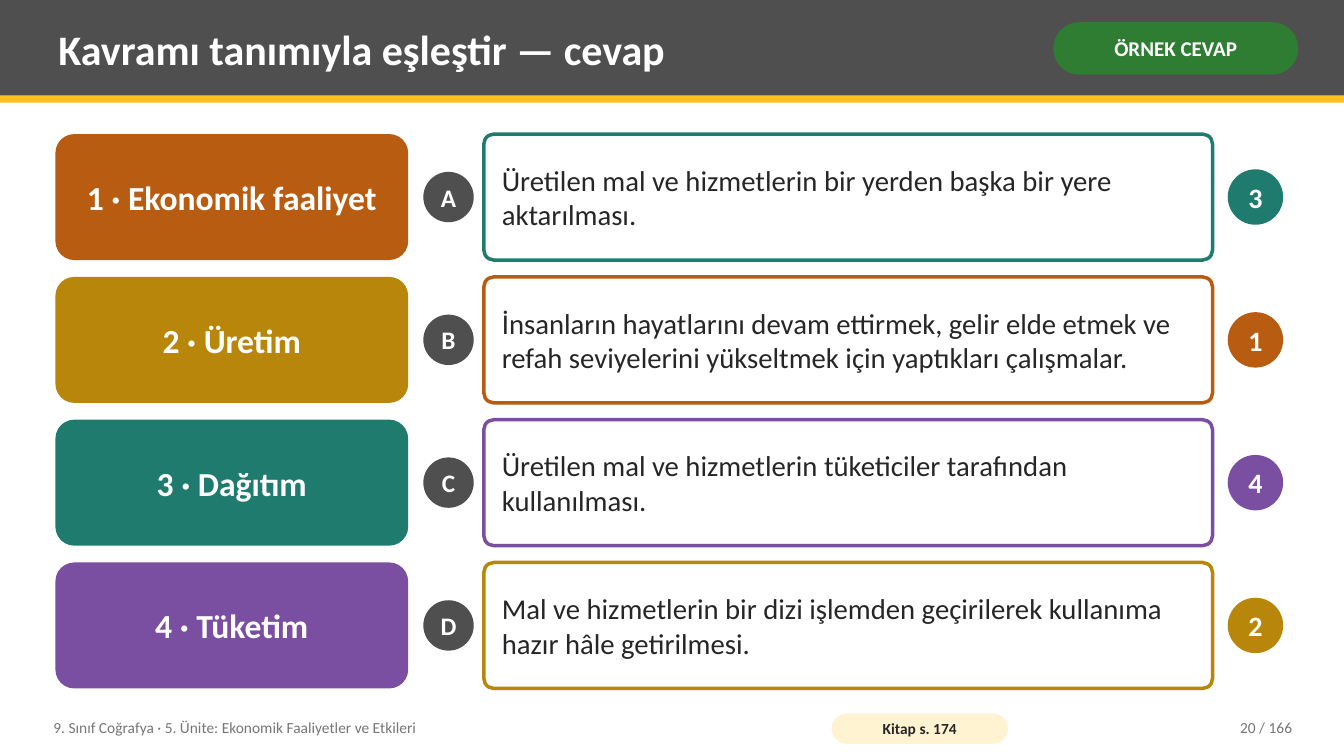
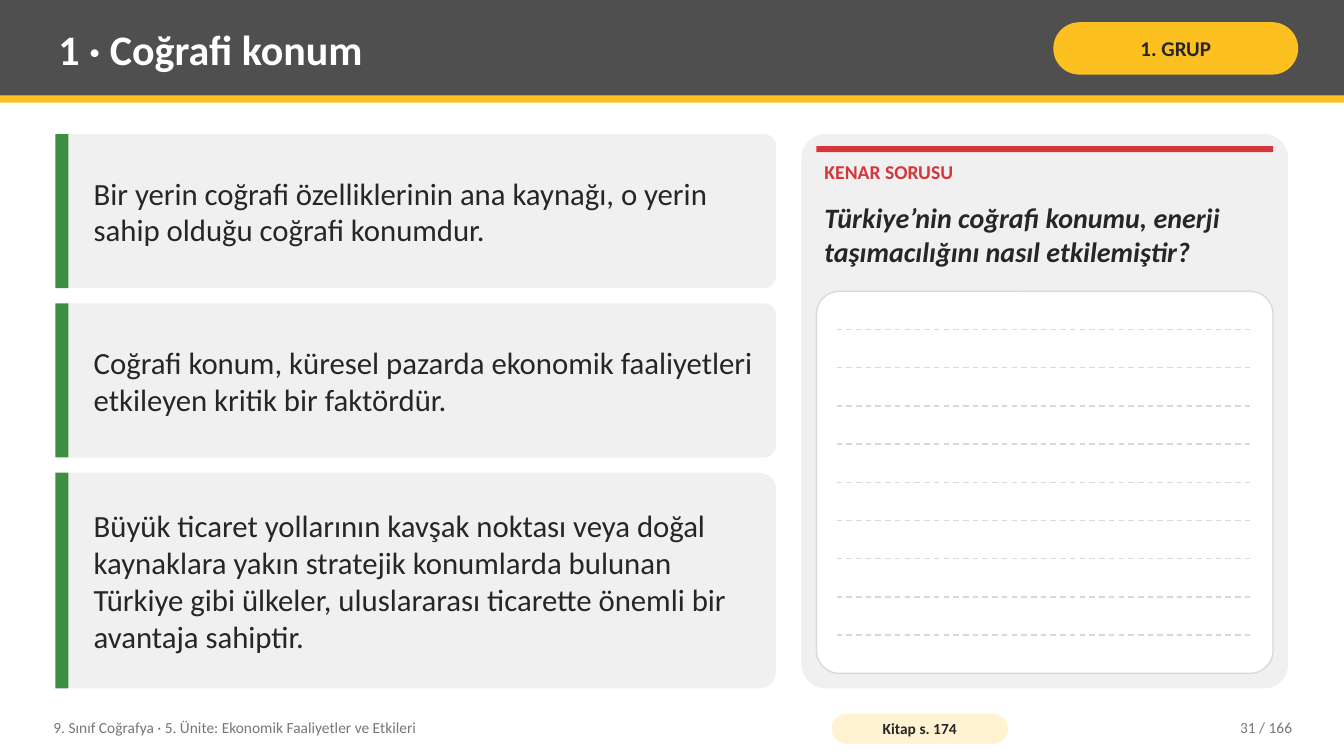
from dataclasses import dataclass
from typing import Any, NamedTuple, Optional

from lxml import etree
from pptx import Presentation
from pptx.dml.color import RGBColor
from pptx.enum.dml import MSO_LINE
from pptx.enum.shapes import MSO_CONNECTOR, MSO_SHAPE
from pptx.enum.text import MSO_ANCHOR, MSO_AUTO_SIZE, PP_ALIGN
from pptx.oxml.ns import qn
from pptx.util import Pt

RECTANGLE = MSO_SHAPE.RECTANGLE
ROUNDED = MSO_SHAPE.ROUNDED_RECTANGLE
OVAL = MSO_SHAPE.OVAL
STRAIGHT = MSO_CONNECTOR.STRAIGHT
DASH = MSO_LINE.DASH
TOP, MIDDLE = MSO_ANCHOR.TOP, MSO_ANCHOR.MIDDLE
LEFT, CENTER, RIGHT = PP_ALIGN.LEFT, PP_ALIGN.CENTER, PP_ALIGN.RIGHT
NO_AUTOFIT = MSO_AUTO_SIZE.NONE

WHITE = RGBColor(0xFF, 0xFF, 0xFF)
INK = RGBColor(0x26, 0x26, 0x26)
CHARCOAL = RGBColor(0x4F, 0x4F, 0x4F)
MUTED = RGBColor(0x76, 0x76, 0x76)
RULE_GRAY = RGBColor(0xD9, 0xD9, 0xD9)
PANEL_GRAY = RGBColor(0xF0, 0xF0, 0xF0)
GOLD = RGBColor(0xFC, 0xC0, 0x21)
CREAM = RGBColor(0xFF, 0xF3, 0xD1)
DARK_GREEN = RGBColor(0x2E, 0x7D, 0x32)
GREEN = RGBColor(0x3E, 0x8E, 0x41)
RED = RGBColor(0xD3, 0x37, 0x3A)
ORANGE = RGBColor(0xB8, 0x5C, 0x12)
OCHRE = RGBColor(0xB8, 0x86, 0x0B)
TEAL = RGBColor(0x1E, 0x7B, 0x6E)
PURPLE = RGBColor(0x7A, 0x4E, 0xA0)

FONT = "Calibri"
SLIDE_WIDTH, SLIDE_HEIGHT = 960, 540
BAND_HEIGHT = 68.4
CONTENT_LEFT, CONTENT_TOP, CONTENT_HEIGHT = 39.6, 95.76, 396
TITLE_ONLY_LAYOUT = 5
UNIT = "9. Sınıf Coğrafya · 5. Ünite: Ekonomik Faaliyetler ve Etkileri"
BOOK_PAGE = "Kitap s. 174"
PAGE_COUNT = 166


class Box(NamedTuple):
    left: float
    top: float
    width: float
    height: float

    def lengths(self) -> list[Pt]:
        return [Pt(value) for value in self]


@dataclass(frozen=True)
class TextStyle:
    size: float
    color: RGBColor
    bold: bool = False
    italic: bool = False
    align: PP_ALIGN = LEFT
    anchor: MSO_ANCHOR = MIDDLE
    inset_x: float = 5.76
    inset_y: float = 2.88
    wrap: bool = True


@dataclass(frozen=True)
class Header:
    title: str
    badge: str
    badge_fill: RGBColor
    badge_color: RGBColor
    page: int


@dataclass(frozen=True)
class Concept:
    name: str
    color: RGBColor


@dataclass(frozen=True)
class Definition:
    letter: str
    text: str
    answer: int


@dataclass(frozen=True)
class Fact:
    text: str
    weight: int


TITLE_STYLE = TextStyle(30, WHITE, bold=True)
FOOTER_STYLE = TextStyle(11, MUTED)
PAGE_STYLE = TextStyle(11, MUTED, align=RIGHT)
BOOK_STYLE = TextStyle(11, INK, bold=True, align=CENTER, inset_y=0)
CONCEPT_STYLE = TextStyle(24, WHITE, bold=True, align=CENTER, inset_x=10.08)
DEFINITION_STYLE = TextStyle(20.5, INK, inset_x=10.8, inset_y=5.76)
FACT_STYLE = TextStyle(22, INK)
LABEL_STYLE = TextStyle(14, RED, bold=True, anchor=TOP)
QUESTION_STYLE = TextStyle(20, INK, bold=True, italic=True, anchor=TOP)

CONCEPTS = [
    Concept("Ekonomik faaliyet", ORANGE),
    Concept("Üretim", OCHRE),
    Concept("Dağıtım", TEAL),
    Concept("Tüketim", PURPLE),
]
DEFINITIONS = [
    Definition("A", "Üretilen mal ve hizmetlerin bir yerden başka bir yere aktarılması.", 3),
    Definition("B", "İnsanların hayatlarını devam ettirmek, gelir elde etmek ve refah "
               "seviyelerini yükseltmek için yaptıkları çalışmalar.", 1),
    Definition("C", "Üretilen mal ve hizmetlerin tüketiciler tarafından kullanılması.", 4),
    Definition("D", "Mal ve hizmetlerin bir dizi işlemden geçirilerek kullanıma hazır "
               "hâle getirilmesi.", 2),
]
FACTS = [
    Fact("Bir yerin coğrafi özelliklerinin ana kaynağı, o yerin sahip olduğu "
         "coğrafi konumdur.", 5),
    Fact("Coğrafi konum, küresel pazarda ekonomik faaliyetleri etkileyen kritik "
         "bir faktördür.", 5),
    Fact("Büyük ticaret yollarının kavşak noktası veya doğal kaynaklara yakın "
         "stratejik konumlarda bulunan Türkiye gibi ülkeler, uluslararası ticarette "
         "önemli bir avantaja sahiptir.", 7),
]


def set_attributes(target: Any, values: dict[str, Any]) -> None:
    for name, value in values.items():
        setattr(target, name, value)


def write_text(shape: Any, text: str, style: TextStyle) -> None:
    frame = shape.text_frame
    set_attributes(frame, {
        "auto_size": NO_AUTOFIT,
        "word_wrap": style.wrap,
        "vertical_anchor": style.anchor,
        "margin_left": Pt(style.inset_x),
        "margin_right": Pt(style.inset_x),
        "margin_top": Pt(style.inset_y),
        "margin_bottom": Pt(style.inset_y),
    })
    paragraph = frame.paragraphs[0]
    paragraph.alignment = style.align
    run = paragraph.add_run()
    run.text = text
    set_attributes(run.font, {
        "name": FONT,
        "size": Pt(style.size),
        "bold": style.bold,
        "italic": style.italic,
    })
    run.font.color.rgb = style.color


def add_text(slide: Any, box: Box, text: str, style: TextStyle) -> None:
    write_text(slide.shapes.add_textbox(*box.lengths()), text, style)


def add_block(slide: Any, kind: MSO_SHAPE, box: Box, fill: RGBColor,
              radius: Optional[float] = None, line: Optional[RGBColor] = None,
              line_width: float = 1) -> Any:
    shape = slide.shapes.add_shape(kind, *box.lengths())
    shape.shadow.inherit = False
    shape.fill.solid()
    shape.fill.fore_color.rgb = fill
    if radius is not None:
        shape.adjustments[0] = radius
    if line is None:
        shape.line.fill.background()
    else:
        shape.line.color.rgb = line
        shape.line.width = Pt(line_width)
    return shape


def add_pill(slide: Any, box: Box, fill: RGBColor, text: str, style: TextStyle) -> None:
    write_text(add_block(slide, ROUNDED, box, fill, 0.5), text, style)


def add_disc(slide: Any, left: float, middle: float, diameter: float,
             fill: RGBColor, text: str, size: float) -> None:
    box = Box(left, middle - diameter / 2, diameter, diameter)
    style = TextStyle(size, WHITE, bold=True, align=CENTER, inset_x=0, inset_y=0, wrap=False)
    write_text(add_block(slide, OVAL, box, fill), text, style)


def add_dashed_line(slide: Any, left: float, right: float, top: float) -> None:
    connector = slide.shapes.add_connector(STRAIGHT, Pt(left), Pt(top), Pt(right), Pt(top))
    connector.line.color.rgb = RULE_GRAY
    connector.line.width = Pt(1)
    connector.line.dash_style = DASH
    etree.SubElement(connector.element.spPr, qn("a:effectLst"))


def add_framed_slide(presentation: Any, header: Header) -> Any:
    slide = presentation.slides.add_slide(presentation.slide_layouts[TITLE_ONLY_LAYOUT])
    add_block(slide, RECTANGLE, Box(0, 0, SLIDE_WIDTH, BAND_HEIGHT), CHARCOAL)
    stripe = add_block(slide, RECTANGLE, Box(0, BAND_HEIGHT, SLIDE_WIDTH, 5.04), GOLD)
    title = slide.shapes.title
    stripe.element.addnext(title.element)
    title_box = Box(36, 5.04, 702, 59.04)
    set_attributes(title, dict(zip(Box._fields, title_box.lengths())))
    write_text(title, header.title, TITLE_STYLE)
    badge_style = TextStyle(15, header.badge_color, bold=True, align=CENTER,
                            inset_x=3.6, inset_y=1.44)
    add_pill(slide, Box(752.4, 15.84, 174.96, 37.44), header.badge_fill,
             header.badge, badge_style)
    add_text(slide, Box(32.4, 506.88, 547.2, 25.92), UNIT, FOOTER_STYLE)
    add_pill(slide, Box(594, 509.76, 126, 21.6), CREAM, BOOK_PAGE, BOOK_STYLE)
    add_text(slide, Box(813.6, 506.88, 115.2, 25.92),
             f"{header.page} / {PAGE_COUNT}", PAGE_STYLE)
    return slide


def build_matching_slide(presentation: Any) -> None:
    slide = add_framed_slide(presentation, Header(
        "Kavramı tanımıyla eşleştir — cevap", "ÖRNEK CEVAP", DARK_GREEN, WHITE, 20))
    gap = 12
    height = (CONTENT_HEIGHT - gap * (len(CONCEPTS) - 1)) / len(CONCEPTS)
    for index, (concept, definition) in enumerate(zip(CONCEPTS, DEFINITIONS)):
        top = CONTENT_TOP + index * (height + gap)
        middle = top + height / 2
        answer_color = CONCEPTS[definition.answer - 1].color
        card = add_block(slide, ROUNDED, Box(CONTENT_LEFT, top, 252, height),
                         concept.color, 0.15)
        write_text(card, f"{index + 1} · {concept.name}", CONCEPT_STYLE)
        outline = add_block(slide, ROUNDED, Box(345.6, top, 520.56, height),
                            WHITE, 0.08, answer_color, 2.5)
        write_text(outline, definition.text, DEFINITION_STYLE)
        add_disc(slide, 302.4, middle, 36, CHARCOAL, definition.letter, 18)
        add_disc(slide, 876.96, middle, 39.6, answer_color, str(definition.answer), 20)


def add_facts(slide: Any) -> None:
    gap = 10.8
    unit = (CONTENT_HEIGHT - gap * (len(FACTS) - 1)) / sum(fact.weight for fact in FACTS)
    top = CONTENT_TOP
    for fact in FACTS:
        height = unit * fact.weight
        add_block(slide, ROUNDED, Box(CONTENT_LEFT, top, 514.8, height), PANEL_GRAY, 0.08)
        add_block(slide, RECTANGLE, Box(CONTENT_LEFT, top, 9.36, height), GREEN)
        add_text(slide, Box(61.2, top, 482.4, height), fact.text, FACT_STYLE)
        top += height + gap


def add_question_panel(slide: Any) -> None:
    panel = Box(572.4, CONTENT_TOP, 347.76, CONTENT_HEIGHT)
    padding = 10.8
    left, width = panel.left + padding, panel.width - 2 * padding
    add_block(slide, ROUNDED, panel, PANEL_GRAY, 0.05)
    add_block(slide, RECTANGLE, Box(left, 104.4, width, 4.32), RED)
    add_text(slide, Box(left, 111.6, width, 28.8), "KENAR SORUSU", LABEL_STYLE)
    add_text(slide, Box(left, 140.4, width, 59.04),
             "Türkiye’nin coğrafi konumu, enerji taşımacılığını nasıl etkilemiştir?",
             QUESTION_STYLE)
    answer_top = 208.08
    answer_height = panel.top + panel.height - padding - answer_top
    add_block(slide, ROUNDED, Box(left, answer_top, width, answer_height),
              WHITE, 0.06, RULE_GRAY)
    line_count, line_inset = 9, 14.4
    pitch = answer_height / (line_count + 1)
    for number in range(1, line_count + 1):
        add_dashed_line(slide, left + line_inset, left + width - line_inset,
                        answer_top + number * pitch)


def build_location_slide(presentation: Any) -> None:
    slide = add_framed_slide(presentation, Header(
        "1 · Coğrafi konum", "1. GRUP", GOLD, INK, 31))
    add_facts(slide)
    add_question_panel(slide)


def main() -> None:
    presentation = Presentation()
    presentation.slide_width = Pt(SLIDE_WIDTH)
    presentation.slide_height = Pt(SLIDE_HEIGHT)
    build_matching_slide(presentation)
    build_location_slide(presentation)
    presentation.save("out.pptx")


if __name__ == "__main__":
    main()
